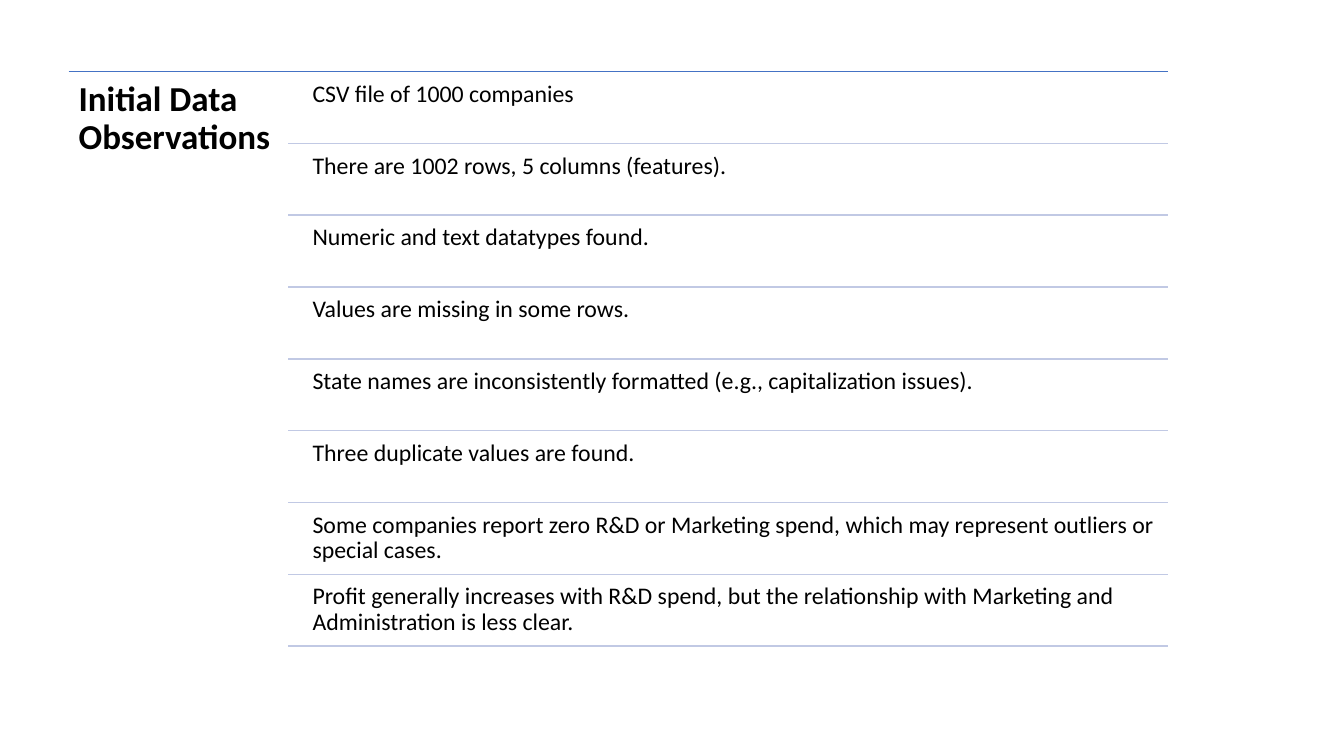
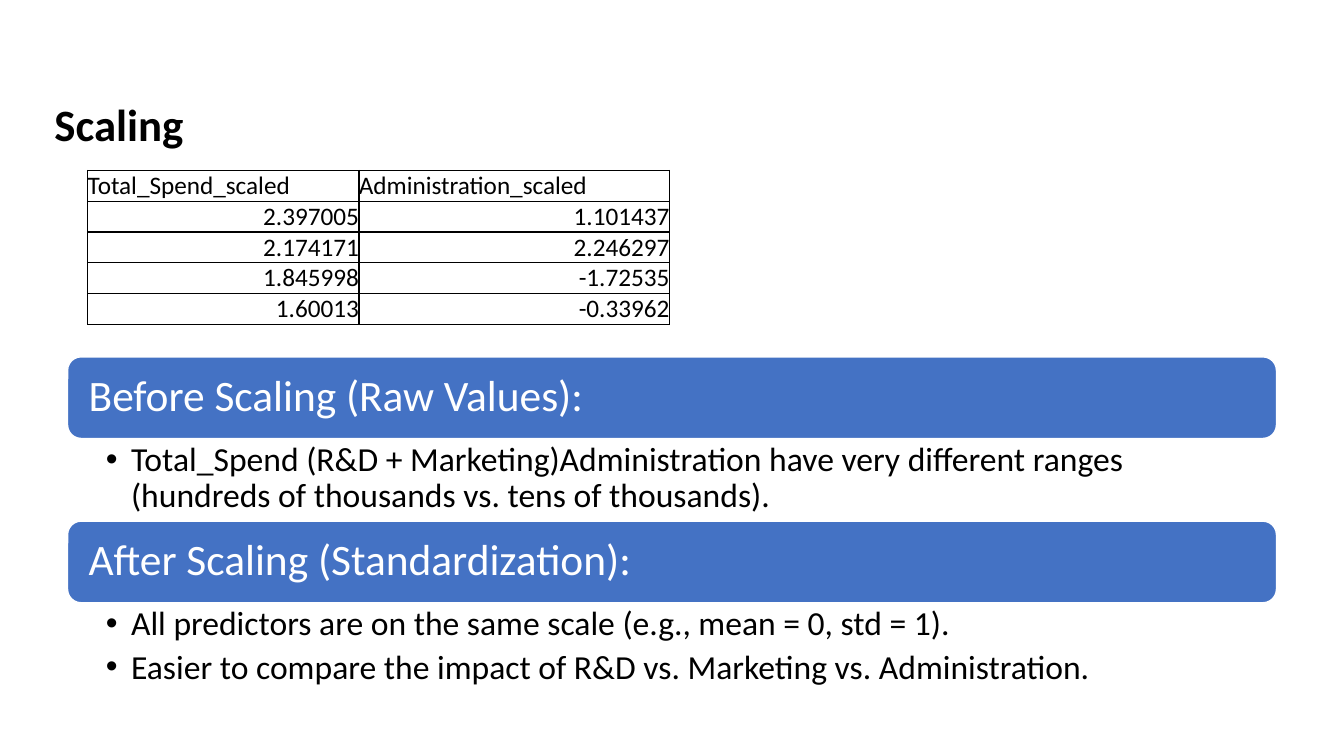
import pptx
import pptx.dml.color
import pptx.enum.shapes
import pptx.enum.text
import pptx.oxml
import pptx.oxml.ns
import pptx.util
from lxml import etree

FONT = "Calibri"
BLACK, WHITE, BLUE, PALE = "000000", "FFFFFF", "4472C4", "C1C9E4"
WIDTH, HEIGHT = 13.33, 7.5

OBSERVATIONS = [
    "CSV file of 1000 companies",
    "There are 1002 rows, 5 columns (features).",
    "Numeric and text datatypes found.",
    "Values are missing in some rows.",
    "State names are inconsistently formatted (e.g., capitalization issues).",
    "Three duplicate values are found.",
    "Some companies report zero R&D or Marketing spend, which may represent outliers or special cases.",
    "Profit generally increases with R&D spend, but the relationship with Marketing and "
    "Administration is less clear.",
]
SCALED = [
    ("Total_Spend_scaled", "Administration_scaled"),
    ("2.397005", "1.101437"),
    ("2.174171", "2.246297"),
    ("1.845998", "-1.72535"),
    ("1.60013", "-0.33962"),
]
STAGES = [
    ("Before Scaling (Raw Values):", 0.82, [
        "Total_Spend (R&D + Marketing)Administration have very different ranges "
        "(hundreds of thousands vs. tens of thousands).",
    ]),
    ("After Scaling (Standardization):", 0.91, [
        "All predictors are on the same scale (e.g., mean = 0, std = 1).",
        "Easier to compare the impact of R&D vs. Marketing vs. Administration.",
    ]),
]

ALIGN = pptx.enum.text.PP_ALIGN
ANCHOR = pptx.enum.text.MSO_ANCHOR
inch = pptx.util.Inches


def rgb(value):
    return pptx.dml.color.RGBColor.from_string(value)


def sub(parent, tag, **attrs):
    return etree.SubElement(parent, pptx.oxml.ns.qn(tag), attrs)


def box(*lengths):
    return [inch(v) for v in lengths]


def write(tf, lines, size, color=BLACK, bold=False, align=ALIGN.LEFT,
          spacing=0.9, after=0, bullet=False):
    for i, line in enumerate(lines):
        p = tf.paragraphs[0] if i == 0 else tf.add_paragraph()
        p.alignment = align
        p.line_spacing = spacing
        p.space_after = pptx.util.Pt(after)
        r = p.add_run()
        r.text = line
        r.font.name = FONT
        r.font.size = pptx.util.Pt(size)
        r.font.bold = bold
        r.font.color.rgb = rgb(color)
        if bullet:
            pPr = p._p.get_or_add_pPr()
            pPr.set("marL", str(inch(0.25)))
            pPr.set("indent", str(-inch(0.25)))
            sub(pPr, "a:buFont", typeface="Arial")
            sub(pPr, "a:buChar", char="•")


def frame(tf, insets, anchor=ANCHOR.TOP):
    tf.word_wrap = True
    tf.auto_size = pptx.enum.text.MSO_AUTO_SIZE.NONE
    tf.vertical_anchor = anchor
    tf.margin_left, tf.margin_top, tf.margin_right, tf.margin_bottom = box(*insets)


def titled_slide(prs, title, place, size, spacing, insets):
    s = prs.slides.add_slide(prs.slide_layouts[5])
    sp = s.shapes.title
    sp.left, sp.top, sp.width, sp.height = box(*place)
    frame(sp.text_frame, insets)
    write(sp.text_frame, [title], size, bold=True, spacing=spacing)
    return s


def text(s, place, insets, lines, size, **style):
    tf = s.shapes.add_textbox(*box(*place)).text_frame
    frame(tf, insets)
    write(tf, lines, size, **style)


def rule(s, left, right, y, color):
    line = s.shapes.add_connector(pptx.enum.shapes.MSO_CONNECTOR.STRAIGHT,
                                  *box(left, y, right, y))
    line.line.color.rgb = rgb(color)
    line.line.width = pptx.util.Pt(1)
    sub(line._element.spPr, "a:effectLst")


def bar(s, place, label):
    sp = s.shapes.add_shape(pptx.enum.shapes.MSO_SHAPE.ROUNDED_RECTANGLE, *box(*place))
    sp.shadow.inherit = False
    sp.fill.solid()
    sp.fill.fore_color.rgb = rgb(BLUE)
    sp.line.color.rgb = rgb(WHITE)
    sp.line.width = pptx.util.Pt(1)
    frame(sp.text_frame, [0.17] * 4, ANCHOR.MIDDLE)
    write(sp.text_frame, [label], 31, color=WHITE)


def border(cell):
    tcPr = cell._tc.get_or_add_tcPr()
    for side in ("a:lnL", "a:lnR", "a:lnT", "a:lnB"):
        ln = sub(tcPr, side, w=str(pptx.util.Pt(1)))
        sub(sub(ln, "a:solidFill"), "a:srgbClr", val=BLACK)


def grid(s, left, top, widths, row_height, rows):
    table = s.shapes.add_table(len(rows), len(widths), *box(
        left, top, sum(widths), row_height * len(rows))).table
    table.first_row = table.horz_banding = False
    for column, width in zip(table.columns, widths):
        column.width = inch(width)
    for i, values in enumerate(rows):
        table.rows[i].height = inch(row_height)
        for j, value in enumerate(values):
            cell = table.cell(i, j)
            cell.margin_left = cell.margin_right = cell.margin_top = cell.margin_bottom = 0
            cell.vertical_anchor = ANCHOR.MIDDLE
            border(cell)
            cell.fill.background()
            write(cell.text_frame, [value], 18, spacing=1.0,
                  align=ALIGN.RIGHT if i else ALIGN.LEFT)


def observations_slide(prs):
    left, split, right, top, bottom = 0.68, 2.86, 11.58, 0.71, 6.41
    pitch = (bottom - top) / len(OBSERVATIONS)
    s = titled_slide(prs, "Initial Data Observations",
                     (left, top, split - left, bottom - top), 25, 0.9, [0.1] * 4)
    rule(s, left, right, top, BLUE)
    for i, line in enumerate(OBSERVATIONS):
        y = top + i * pitch
        text(s, (split + 0.17, y + 0.03, right - split - 0.16, 0.68), [0.07] * 4, [line], 17)
        rule(s, split, right, y + pitch, PALE)


def scaling_slide(prs):
    s = titled_slide(prs, "Scaling", (0.44, 0.91, 4, 0.64), 32, 1.0, [0.1, 0.05, 0.1, 0.05])
    grid(s, 0.87, 1.69, [2.69, 3.08], 0.3, SCALED)
    left, y, bar_height = 0.67, 3.54, 0.81
    width = WIDTH - 2 * left
    for label, height, points in STAGES:
        bar(s, (left, y, width, bar_height), label)
        y += bar_height
        text(s, (left, y, width, height), [0.38, 0.04, 0.24, 0.04], points, 24,
             after=5, bullet=True)
        y += height


def main():
    prs = pptx.Presentation()
    prs.slide_width, prs.slide_height = box(WIDTH, HEIGHT)
    observations_slide(prs)
    scaling_slide(prs)
    prs.save("out.pptx")


if __name__ == "__main__":
    main()
